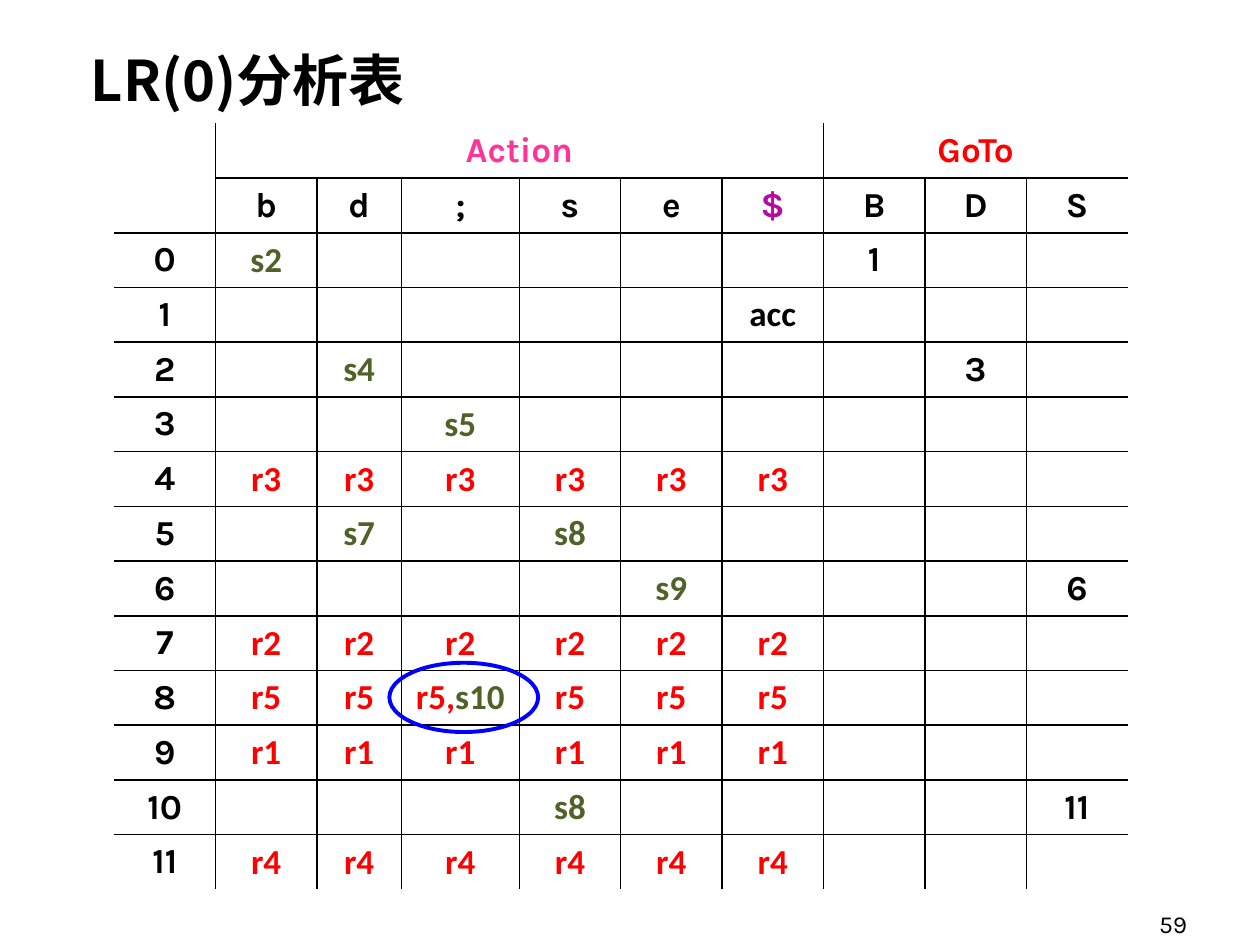
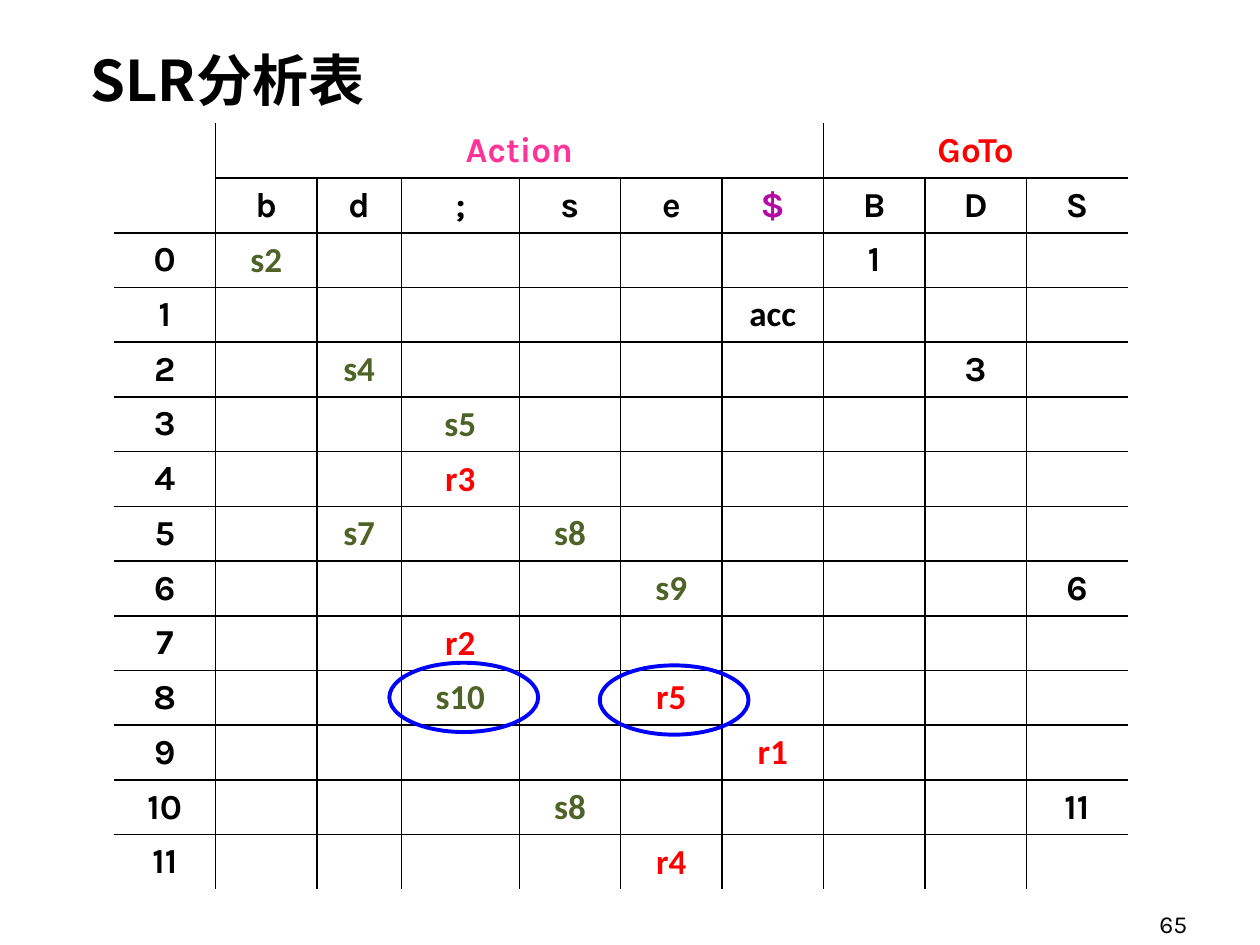
from dataclasses import dataclass

import pptx
import pptx.dml.color
import pptx.enum.shapes
import pptx.enum.text
import pptx.oxml.ns
import pptx.util
from lxml import etree

TERMINALS = ["b", "d", ";", "s", "e", "$"]
NONTERMINALS = ["B", "D", "S"]
STATES = range(12)
SHIFTS = {(0, "b"): "s2", (2, "d"): "s4", (3, ";"): "s5", (5, "d"): "s7",
          (5, "s"): "s8", (6, "e"): "s9", (8, ";"): "s10", (10, "s"): "s8"}
ACCEPT = {(1, "$"): "acc"}
GOTO = {(0, "B"): "1", (2, "D"): "3", (6, "S"): "6", (10, "S"): "11"}
REDUCTIONS = {4: "r3", 7: "r2", 8: "r5", 9: "r1", 11: "r4"}
FOLLOW = {4: [";"], 7: [";"], 8: ["e"], 9: ["$"], 11: ["e"]}

SLIDES = [
    {"title": "LR(0)分析表", "page": "59",
     "lookaheads": {state: TERMINALS for state in REDUCTIONS},
     "rings": [(222.5, 378.7)]},
    {"title": "SLR分析表", "page": "65",
     "lookaheads": FOLLOW,
     "rings": [(222.5, 378.7), (342.7, 380.2)]},
]

TABLE_LEFT, TABLE_TOP = 65.2, 70.5
ROW_HEIGHT, COLUMN_WIDTH = 31.27, 57.95
SPECIAL_WIDTHS = {"d": 48.3, ";": 67.4}
RING_SIZE = (85, 39.6)


@dataclass(frozen=True)
class Theme:
    title_font: str = "Noto Sans CJK SC"
    label_font: str = "Karla"
    action_font: str = "Calibri"
    title_size: int = 32
    cell_size: int = 20
    page_size: int = 14
    black: str = "000000"
    pink: str = "FF3399"
    red: str = "FF0000"
    green: str = "4F6228"
    purple: str = "B50BA5"
    blue: str = "0000FF"
    grid_width: float = 1
    ring_width: float = 2.25


THEME = Theme()
Pt = pptx.util.Pt
qn = pptx.oxml.ns.qn
ALIGN = pptx.enum.text.PP_ALIGN
ANCHOR = pptx.enum.text.MSO_ANCHOR


def rgb(value):
    return pptx.dml.color.RGBColor.from_string(value)


def add_run(p, text, font, size, color, bold=True):
    r = p.add_run()
    r.text = text
    r.font.name, r.font.size, r.font.bold = font, Pt(size), bold
    r.font.color.rgb = rgb(color)
    return r


def action_color(text):
    return {"s": THEME.green, "r": THEME.red}.get(text[0], THEME.black)


def set_borders(cell, drawn):
    tcPr = cell._tc.get_or_add_tcPr()
    for side in "LRTB":
        ln = etree.SubElement(tcPr, qn(f"a:ln{side}"), w=str(Pt(THEME.grid_width)))
        if side in drawn:
            fill = etree.SubElement(ln, qn("a:solidFill"))
            etree.SubElement(fill, qn("a:srgbClr"), val=THEME.black)
        else:
            etree.SubElement(ln, qn("a:noFill"))


def fill_cell(cell, runs):
    cell.margin_top = cell.margin_bottom = Pt(2)
    cell.vertical_anchor = ANCHOR.MIDDLE
    p = cell.text_frame.paragraphs[0]
    p.alignment = ALIGN.CENTER
    for text, font, color in runs:
        add_run(p, text, font, THEME.cell_size, color)


def table_contents(lookaheads):
    label = THEME.label_font
    symbols = TERMINALS + NONTERMINALS
    runs = {(0, 1): [("Action", label, THEME.pink)],
            (0, 1 + len(TERMINALS)): [("GoTo", label, THEME.red)]}
    for c, symbol in enumerate(symbols, 1):
        color = THEME.purple if symbol == "$" else THEME.black
        runs[1, c] = [(symbol, label, color)]
    for state in STATES:
        row = state + 2
        runs[row, 0] = [(str(state), label, THEME.black)]
        for c, symbol in enumerate(symbols, 1):
            key = state, symbol
            if key in GOTO:
                runs[row, c] = [(GOTO[key], label, THEME.black)]
                continue
            actions = [REDUCTIONS[state]] if symbol in lookaheads.get(state, []) else []
            actions += [d[key] for d in (SHIFTS, ACCEPT) if key in d]
            runs[row, c] = [
                (text + ("," if i < len(actions) else ""), THEME.action_font, action_color(text))
                for i, text in enumerate(actions, 1)]
    return runs


def add_parse_table(slide, lookaheads):
    widths = [COLUMN_WIDTH] + [SPECIAL_WIDTHS.get(s, COLUMN_WIDTH)
                               for s in TERMINALS + NONTERMINALS]
    rows, cols = len(STATES) + 2, len(widths)
    table = slide.shapes.add_table(rows, cols, Pt(TABLE_LEFT), Pt(TABLE_TOP),
                                   Pt(sum(widths)), Pt(rows * ROW_HEIGHT)).table
    table.first_row = table.horz_banding = False
    for column, width in zip(table.columns, widths):
        column.width = Pt(width)
    for row in table.rows:
        row.height = Pt(ROW_HEIGHT)

    last_action = len(TERMINALS)
    table.cell(0, 0).merge(table.cell(1, 0))
    table.cell(0, 1).merge(table.cell(0, last_action))
    table.cell(0, last_action + 1).merge(table.cell(0, cols - 1))

    contents = table_contents(lookaheads)
    for r in range(rows):
        for c in range(cols):
            cell = table.cell(r, c)
            inner = {"L": c > 0, "R": c + cell.span_width < cols,
                     "T": r > 0, "B": r + cell.span_height < rows}
            set_borders(cell, [] if cell.is_spanned else [s for s in inner if inner[s]])
            cell.fill.background()
            fill_cell(cell, contents.get((r, c), []))


def add_title(slide, text):
    sp = slide.shapes.title
    sp.left, sp.top, sp.width, sp.height = Pt(44.6), Pt(22.3), Pt(286.6), Pt(46.1)
    tf = sp.text_frame
    tf.vertical_anchor = ANCHOR.MIDDLE
    tf.word_wrap = True
    p = tf.paragraphs[0]
    p.alignment = ALIGN.LEFT
    r = add_run(p, text, THEME.title_font, THEME.title_size, THEME.black)
    etree.SubElement(r._r.get_or_add_rPr(), qn("a:ea"), typeface=THEME.title_font)


def add_page_number(slide, text):
    tf = slide.shapes.add_textbox(Pt(517.7), Pt(504), Pt(167.8), Pt(36)).text_frame
    tf.word_wrap = True
    tf.vertical_anchor = ANCHOR.BOTTOM
    p = tf.paragraphs[0]
    p.alignment = ALIGN.RIGHT
    add_run(p, text, THEME.label_font, THEME.page_size, THEME.black, bold=False)


def add_ring(slide, left, top):
    sp = slide.shapes.add_shape(pptx.enum.shapes.MSO_SHAPE.OVAL, Pt(left), Pt(top),
                                *map(Pt, RING_SIZE))
    sp.shadow.inherit = False
    sp.fill.background()
    sp.line.color.rgb = rgb(THEME.blue)
    sp.line.width = Pt(THEME.ring_width)


def main():
    prs = pptx.Presentation()
    prs.slide_width, prs.slide_height = Pt(720), Pt(540)
    for content in SLIDES:
        slide = prs.slides.add_slide(prs.slide_layouts[5])
        add_title(slide, content["title"])
        add_parse_table(slide, content["lookaheads"])
        add_page_number(slide, content["page"])
        for left, top in content["rings"]:
            add_ring(slide, left, top)
    prs.save("out.pptx")


if __name__ == "__main__":
    main()
